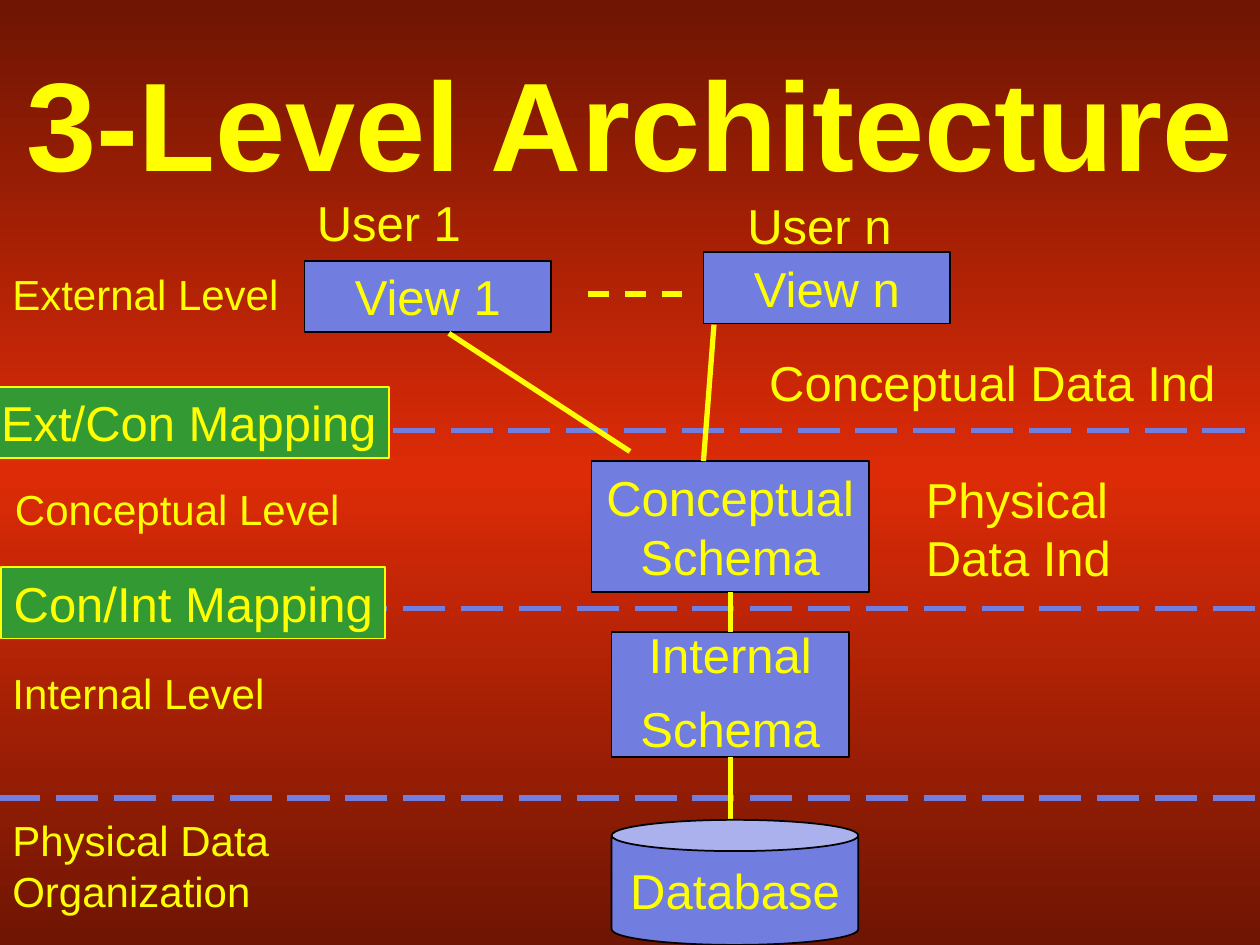
from copy import deepcopy
from dataclasses import dataclass
from typing import Optional

from lxml import etree
from pptx import Presentation
from pptx.dml.color import RGBColor
from pptx.enum.dml import MSO_LINE_DASH_STYLE as Dash
from pptx.enum.shapes import MSO_CONNECTOR, MSO_SHAPE as Shape
from pptx.enum.text import MSO_ANCHOR as Anchor, MSO_AUTO_SIZE as AutoSize, PP_ALIGN as Align
from pptx.oxml.ns import qn
from pptx.util import Pt

YELLOW = RGBColor(0xFF, 0xFF, 0x00)
BLUE = RGBColor(0x72, 0x7D, 0xE0)
GREEN = RGBColor(0x33, 0x99, 0x33)
BLACK = RGBColor(0x00, 0x00, 0x00)
DARK_RED = RGBColor(0x6E, 0x15, 0x03)
RED = RGBColor(0xDD, 0x2B, 0x07)
BOTTOM, TOP = 2, 0


@dataclass
class Label:
    text: str
    x: float
    y: float
    w: float
    h: float
    size: float = 28
    bold: bool = False
    align: Align = Align.LEFT
    anchor: Anchor = Anchor.TOP
    wrap: bool = True
    grow: bool = True


@dataclass
class Box(Label):
    align: Align = Align.CENTER
    kind: Shape = Shape.RECTANGLE
    fill: RGBColor = BLUE
    line: RGBColor = BLACK
    spacing: Optional[float] = None
    before: float = 0


@dataclass
class Line:
    x1: float
    y1: float
    x2: float
    y2: float
    color: RGBColor = YELLOW
    dash: Optional[Dash] = None


def write_text(sp, item: Label) -> None:
    tf = sp.text_frame
    frame_format = {
        "word_wrap": item.wrap,
        "auto_size": AutoSize.SHAPE_TO_FIT_TEXT if item.grow else AutoSize.NONE,
        "vertical_anchor": item.anchor,
    }
    for name, value in frame_format.items():
        setattr(tf, name, value)
    font_format = {"name": "Arial", "size": Pt(item.size), "bold": item.bold}
    for i, text in enumerate(item.text.split("\n")):
        p = tf.paragraphs[0] if i == 0 else tf.add_paragraph()
        p.alignment = item.align
        if isinstance(item, Box) and item.spacing:
            p.line_spacing = item.spacing
            if i:
                p.space_before = Pt(item.before)
        r = p.add_run()
        r.text = text
        for name, value in font_format.items():
            setattr(r.font, name, value)
        r.font.color.rgb = YELLOW


def add_label(s, item: Label):
    sp = s.shapes.add_textbox(Pt(item.x), Pt(item.y), Pt(item.w), Pt(item.h))
    write_text(sp, item)
    return sp


def add_box(s, item: Box):
    sp = s.shapes.add_shape(item.kind, Pt(item.x), Pt(item.y), Pt(item.w), Pt(item.h))
    sp.shadow.inherit = False
    sp.fill.solid()
    sp.fill.fore_color.rgb = item.fill
    sp.line.color.rgb = item.line
    sp.line.width = Pt(1)
    write_text(sp, item)
    return sp


def add_line(s, item: Line):
    cx = s.shapes.add_connector(
        MSO_CONNECTOR.STRAIGHT, Pt(item.x1), Pt(item.y1), Pt(item.x2), Pt(item.y2))
    cx.line.color.rgb = item.color
    cx.line.width = Pt(3)
    if item.dash:
        cx.line.dash_style = item.dash
    etree.SubElement(cx._element.spPr, qn("a:effectLst"))
    return cx


def paint_background(s) -> None:
    fill = s.background.fill
    fill.gradient()
    fill.gradient_angle = 90
    gs_list = s.background._cSld.find(".//" + qn("a:gsLst"))
    gs_list.insert(1, deepcopy(gs_list[0]))
    for stop, (pos, color) in zip(fill.gradient_stops, [(0, DARK_RED), (0.5, RED), (1, DARK_RED)]):
        stop.position = pos
        stop.color.rgb = color


LABELS = [
    Label("3-Level Architecture", 0, 24, 720, 90, 72, True, Align.CENTER, Anchor.MIDDLE, grow=False),
    # Names of the levels
    Label("External Level", 0, 150, 180, 36, 24),
    Label("Conceptual Level", 1.5, 273, 216, 36, 24),
    Label("Internal Level", 0, 378, 162, 36, 24),
    Label("Physical Data Organization", 0, 462, 216, 65, 24),
    # Users and data independence
    Label("User 1", 174, 106.5, 102, 41),
    Label("User n", 420, 108, 102, 41),
    Label("Conceptual Data Ind", 432.5, 198, 287.5, 41),
    Label("Physical\nData Ind", 522, 264.5, 120, 75, wrap=False),
]
DIVIDERS = [Line(x1, y, x2, y, BLUE, Dash.LONG_DASH)
            for x1, x2, y in [(-7, 720, 246), (-1, 726, 347.75), (-1, 726, 456)]]
MAPPINGS = [Box(text, x, y, w, 41, align=Align.LEFT, wrap=False, fill=GREEN, line=YELLOW)
            for text, x, y, w in [("Ext/Con Mapping", -6.5, 221, 229),
                                  ("Con/Int Mapping", 0.75, 324, 219.5)]]
VIEWS = [Box("View 1", 174, 149, 141, 41), Box("View n", 402, 144, 141, 41)]
CONCEPTUAL = Box("Conceptual Schema", 338, 263.5, 158.5, 75)
INTERNAL = Box("Internal\nSchema", 349.5, 361, 135.5, 71.5, grow=False, spacing=0.75, before=17.5)
DATABASE = Box("Database", 349.5, 468.5, 141, 71.5, anchor=Anchor.MIDDLE, wrap=False,
               grow=False, kind=Shape.CAN)
VIEW_LINES = [
    Line(408, 185.5, 402, 263.5),
    Line(256.5, 190.5, 360, 258),
    Line(336, 168, 390, 168, dash=Dash.DASH),
]


def main() -> None:
    prs = Presentation()
    prs.slide_width, prs.slide_height = Pt(720), Pt(540)
    s = prs.slides.add_slide(prs.slide_layouts[6])
    paint_background(s)

    # Level dividers, then the texts and mappings over them
    for item in DIVIDERS:
        add_line(s, item)
    for item in LABELS:
        add_label(s, item)
    for item in MAPPINGS + VIEWS:
        add_box(s, item)

    # Schemas and database, joined from top to bottom
    conceptual = add_box(s, CONCEPTUAL)
    internal = add_box(s, INTERNAL)
    schema_link = add_line(s, Line(417.25, 338.5, 417.25, 361))
    schema_link.begin_connect(conceptual, BOTTOM)
    schema_link.end_connect(internal, TOP)
    database_link = add_line(s, Line(417.25, 432.5, 417.25, 479))
    database_link.begin_connect(internal, BOTTOM)
    add_box(s, DATABASE)

    # Lines from the views
    for item in VIEW_LINES:
        add_line(s, item)

    prs.save("out.pptx")


if __name__ == "__main__":
    main()
